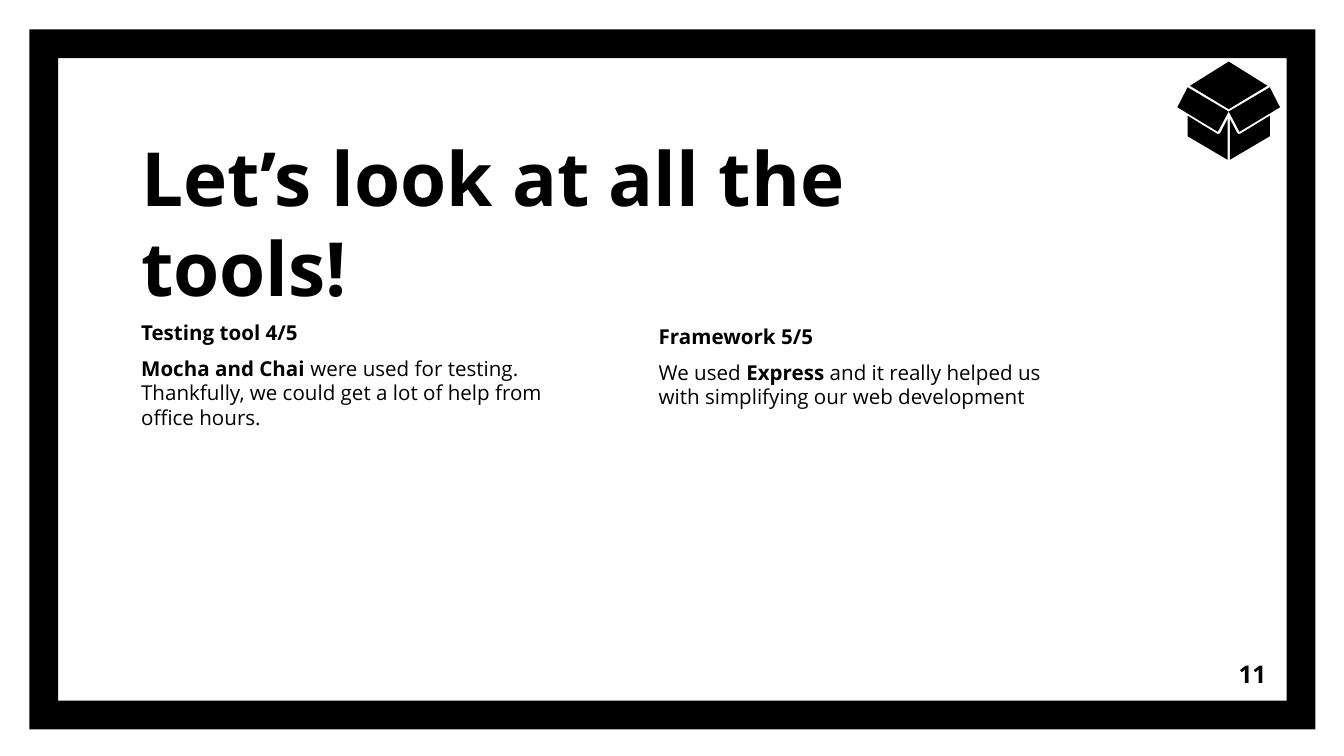
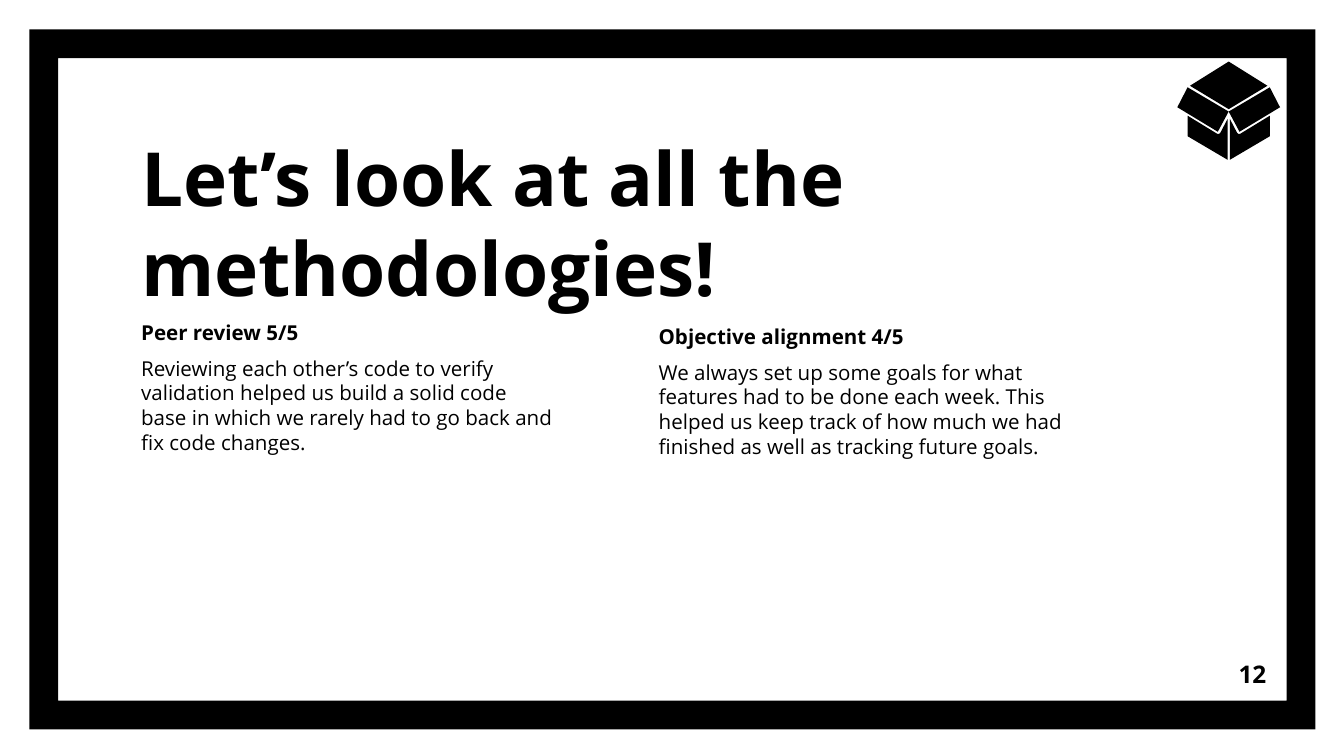
"""Build two review slides that share a black frame, a box icon and a page number."""
from dataclasses import dataclass

from pptx import Presentation
from pptx.dml.color import RGBColor
from pptx.enum.shapes import MSO_SHAPE
from pptx.enum.text import MSO_ANCHOR, PP_ALIGN
from pptx.util import Pt


@dataclass(frozen=True)
class Theme:
    ink: RGBColor = RGBColor(0, 0, 0)
    paper: RGBColor = RGBColor(255, 255, 255)
    font: str = "Open Sans"
    title: int = 40
    body: int = 11
    page: int = 13
    gap: int = 6
    inset: float = 7.2


THEME = Theme()
WIDE, HIGH = 720, 405
FRAME = (15.75, 15.75, 689, 375)
TITLE = (68.5, 67, 401, 107)
COLS = [(68.5, 164.2, 237, 196.5), (345.8, 166.3, 233, 191.5)]
PAGE = (642.2, 345.6, 43.2, 31)

AXIS = 658.25
LID = [(0, 33), (-20.75, 46), (0, 58.5), (20.75, 46)]
FLAP = [(-22, 46.8), (-27.5, 57.5), (-5.8, 70.6), (0, 59.8)]
SIDE = [(-22, 62), (-22, 73), (-0.6, 85.6), (-0.6, 63.7), (-4.5, 71.2),
        (-5.2, 71.8), (-6, 71.8)]

SLIDES = [
    (11, "Let’s look at all the tools!", [
        ("Testing tool 4/5", [
            ("Mocha and Chai ", True),
            ("were used for testing. Thankfully, we could get a lot of help "
             "from office hours.", False)]),
        ("Framework 5/5", [
            ("We used ", False),
            ("Express ", True),
            ("and it really helped us with simplifying our web development",
             False)])]),
    (12, "Let’s look at all the methodologies!", [
        ("Peer review 5/5", [
            ("Reviewing each other’s code to verify validation helped us "
             "build a solid code base in which we rarely had to go back and "
             "fix code changes.", False)]),
        ("Objective alignment 4/5", [
            ("We always set up some goals for what features had to be done "
             "each week. This helped us keep track of how much we had "
             "finished as well as tracking future goals.", False)])]),
]


def paint(shape):
    shape.shadow.inherit = False
    shape.fill.solid()
    shape.fill.fore_color.rgb = THEME.ink
    shape.line.fill.background()


def write(slide, place, paras, size, anchor=MSO_ANCHOR.TOP, align=PP_ALIGN.LEFT):
    frame = slide.shapes.add_textbox(*map(Pt, place)).text_frame
    frame.word_wrap = True
    frame.vertical_anchor = anchor
    frame.margin_left = frame.margin_right = Pt(THEME.inset)
    frame.margin_top = frame.margin_bottom = Pt(THEME.inset)
    for rank, runs in enumerate(paras):
        para = frame.add_paragraph() if rank else frame.paragraphs[0]
        para.alignment = align
        if rank:
            para.space_before = Pt(THEME.gap)
        for text, bold in runs:
            run = para.add_run()
            run.text = text
            font = run.font
            font.name, font.size, font.bold = THEME.font, Pt(size), bold
            font.color.rgb = THEME.ink


def trace(shapes, points, sign=1):
    spots = [(Pt(AXIS + sign * x), Pt(y)) for x, y in points]
    pen = shapes.build_freeform(*spots[0])
    pen.add_line_segments(spots[1:], close=True)
    paint(pen.convert_to_shape())


def draw_box(slide):
    group = slide.shapes.add_group_shape()
    trace(group.shapes, LID)
    for part in (SIDE, FLAP):
        for sign in (1, -1):
            trace(group.shapes, part, sign)


def draw_base(slide):
    back = slide.background.fill
    back.solid()
    back.fore_color.rgb = THEME.paper
    border = slide.shapes.add_shape(MSO_SHAPE.FRAME, *map(Pt, FRAME))
    border.adjustments[0] = 0.041
    paint(border)


def main():
    deck = Presentation()
    deck.slide_width, deck.slide_height = Pt(WIDE), Pt(HIGH)
    for page, title, notes in SLIDES:
        slide = deck.slides.add_slide(deck.slide_layouts[6])
        draw_base(slide)
        write(slide, TITLE, [[(title, True)]], THEME.title, MSO_ANCHOR.BOTTOM)
        for place, (head, runs) in zip(COLS, notes):
            write(slide, place, [[(head, True)], runs], THEME.body)
        write(slide, PAGE, [[(str(page), True)]], THEME.page,
              MSO_ANCHOR.MIDDLE, PP_ALIGN.RIGHT)
        draw_box(slide)
    deck.save("out.pptx")


if __name__ == "__main__":
    main()
